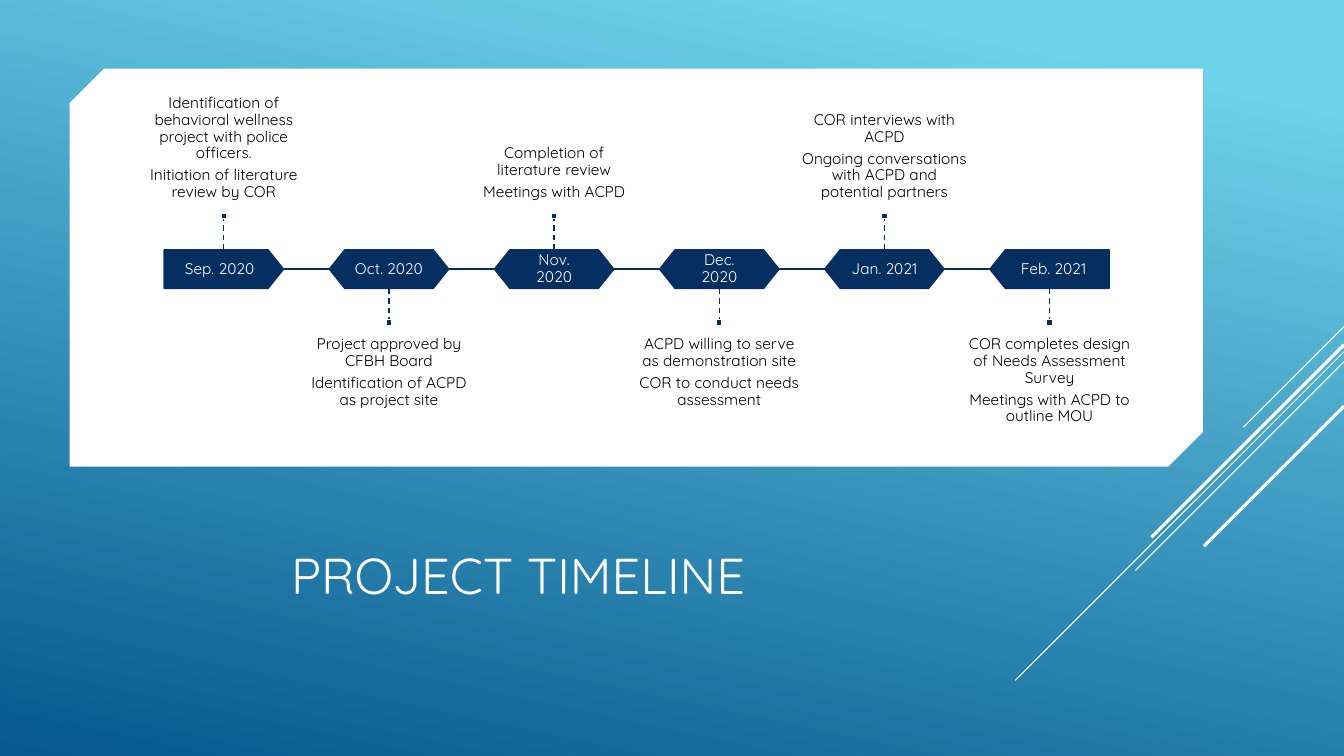
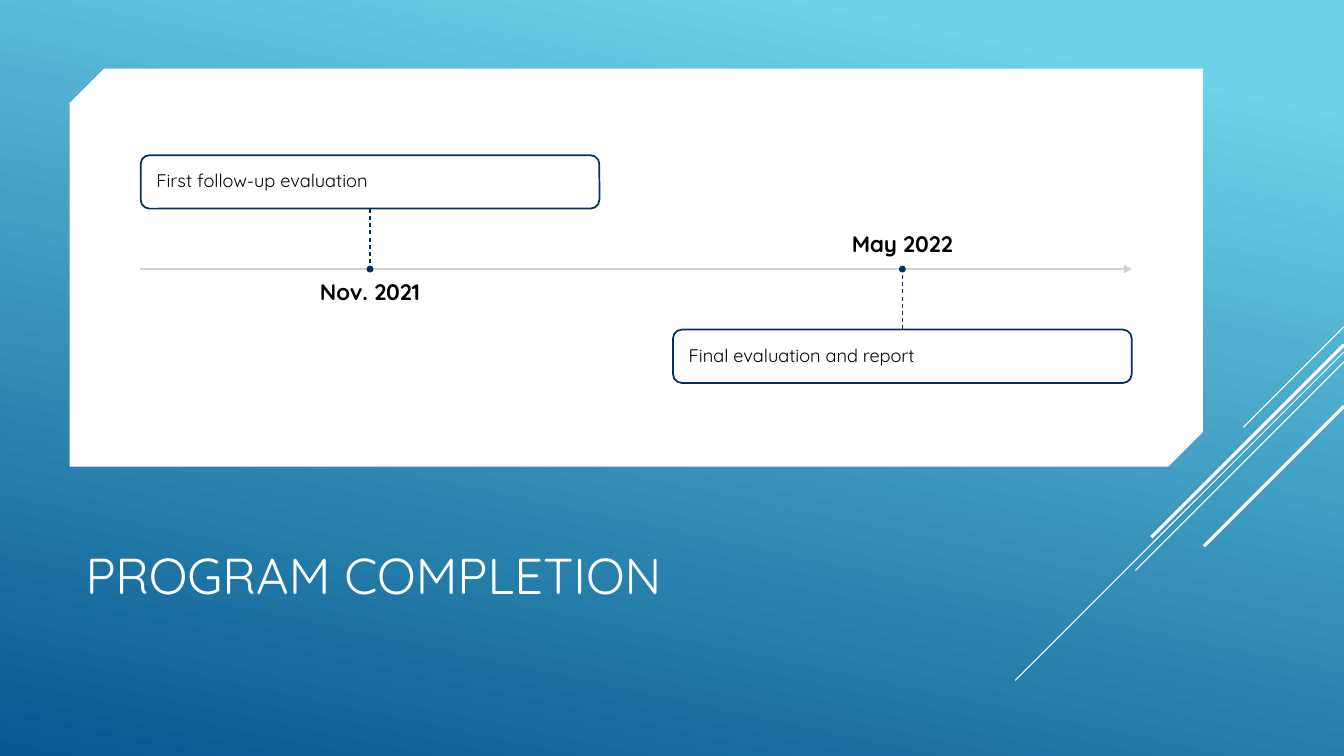
from lxml.etree import SubElement
from pptx import Presentation
from pptx.dml.color import RGBColor
from pptx.enum.dml import MSO_LINE
from pptx.enum.shapes import MSO_CONNECTOR, MSO_SHAPE
from pptx.enum.text import MSO_ANCHOR, PP_ALIGN
from pptx.oxml.ns import qn
from pptx.util import Inches, Pt

# Content
TIMELINE_TITLE = "PROJECT TIMELINE"
STEPS = [
    ("Sep. 2020", ["Identification of behavioral wellness project with police officers.",
                   "Initiation of literature review by COR"]),
    ("Oct. 2020", ["Project approved by CFBH Board",
                   "Identification of ACPD as project site"]),
    ("Nov. 2020", ["Completion of literature review", "Meetings with ACPD"]),
    ("Dec. 2020", ["ACPD willing to serve as demonstration site",
                   "COR to conduct needs assessment"]),
    ("Jan. 2021", ["COR interviews with ACPD",
                   "Ongoing conversations with ACPD and potential partners"]),
    ("Feb. 2021", ["COR completes design of Needs Assessment Survey",
                   "Meetings with ACPD to outline MOU"]),
]
COMPLETION_TITLE = "PROGRAM COMPLETION"
MILESTONES = [  # date, text, centre x, side of the axis (-1 above, 1 below)
    ("Nov. 2021", "First follow-up evaluation", 3.67, -1),
    ("May 2022", "Final evaluation and report", 8.95, 1),
]

# Shared style
FONT = "Quicksand"
WHITE = RGBColor(0xFF, 0xFF, 0xFF)
BLACK = RGBColor(0x00, 0x00, 0x00)
NAVY = RGBColor(0x05, 0x2F, 0x61)
GREY = RGBColor(0xCC, 0xCD, 0xD2)
SKY = RGBColor(0x6E, 0xD2, 0xEB)
OCEAN = RGBColor(0x06, 0x58, 0x8E)
SLIDE_W, SLIDE_H = 13.33, 7.5
AXIS_Y = 2.67
RAYS = [  # y at the right edge, length across and down, width in points
    (3.24, 1.00, 0.75), (3.49, 3.26, 0.75), (3.59, 2.07, 0.75),
    (3.42, 1.91, 2.25), (4.03, 1.39, 2.25),
]

# Timeline geometry
FIRST_X, LAST_X = 2.22, 10.41
PITCH = (LAST_X - FIRST_X) / (len(STEPS) - 1)
STEP_W, STEP_H = 1.18, 0.38
STALK_END, MARKER, NOTE_H = 0.5, 0.06, 1.0

# Milestone geometry
CARD_W, CARD_H, CARD_GAP = 4.55, 0.53, 0.6
DATE_W, DATE_H, DATE_GAP = 4.01, 0.35, 0.12
DOT = 0.05


def add_box(page, kind, left, top, width, height, fill, line=None, weight=1.25):
    """Add a flat preset shape; fill or line may be None."""
    box = page.shapes.add_shape(kind, Inches(left), Inches(top),
                                Inches(width), Inches(height))
    box.shadow.inherit = False
    box.fill.solid()
    box.fill.fore_color.rgb = fill
    if line is None:
        box.line.fill.background()
    else:
        box.line.color.rgb = line
        box.line.width = Pt(weight)
    return box


def add_line(page, start, end, color, weight, dashed=False):
    """Add a straight line without a shadow."""
    x1, y1, x2, y2 = (Inches(value) for value in (*start, *end))
    line = page.shapes.add_connector(MSO_CONNECTOR.STRAIGHT, x1, y1, x2, y2)
    line.line.color.rgb = color
    line.line.width = Pt(weight)
    if dashed:
        line.line.dash_style = MSO_LINE.DASH
    SubElement(line._element.spPr, qn("a:effectLst"))
    return line


def set_text(box, lines, size, color, align=PP_ALIGN.CENTER,
             anchor=MSO_ANCHOR.MIDDLE, inset=(0, 0), bold=False):
    """Write paragraphs into a box; inset is (horizontal, vertical)."""
    frame = box.text_frame
    frame.word_wrap = True
    frame.vertical_anchor = anchor
    frame.margin_left = frame.margin_right = Inches(inset[0])
    frame.margin_top = frame.margin_bottom = Inches(inset[1])
    frame.text = "\n".join(lines)
    for para in frame.paragraphs:
        para.alignment = align
        para.line_spacing = 0.9
        para.space_after = Pt(0.35 * size)
        para.font.name = FONT
        para.font.size = Pt(size)
        para.font.bold = bold
        para.font.color.rgb = color


def add_text(page, left, top, width, height, lines, size, color, **style):
    """Add a text box."""
    box = page.shapes.add_textbox(Inches(left), Inches(top),
                                  Inches(width), Inches(height))
    set_text(box, lines, size, color, **style)
    return box


def add_page(deck, title, indent=0):
    """Add a slide with background, title, white panel and rays."""
    page = deck.slides.add_slide(deck.slide_layouts[6])
    backdrop = add_box(page, MSO_SHAPE.RECTANGLE, 0, 0, SLIDE_W, SLIDE_H, SKY)
    backdrop.fill.gradient()
    backdrop.fill.gradient_angle = 258
    for stop, position, color in zip(backdrop.fill.gradient_stops,
                                     (0.1, 1), (SKY, OCEAN)):
        stop.position = position
        stop.color.rgb = color
    heading = add_text(page, 0.75 + indent, 4.91, 9.33 - indent, 1.65, [title], 36,
                       WHITE, align=PP_ALIGN.LEFT, inset=(0.1, 0.05))
    heading.text_frame.paragraphs[0].space_after = Pt(0)
    panel = add_box(page, MSO_SHAPE.SNIP_2_DIAG_RECTANGLE,
                    0.69, 0.68, 11.24, 3.95, WHITE)
    panel.adjustments[0] = 0.087
    panel.adjustments[1] = 0
    for y, reach, weight in RAYS:
        add_line(page, (SLIDE_W, y), (SLIDE_W - reach, y + reach), WHITE, weight)
    return page


def add_step(page, index, month, notes):
    """Add one month of the timeline, notes alternating above and below."""
    x = FIRST_X + index * PITCH
    side = 1 if index % 2 else -1
    last = len(STEPS) - 1
    at_end = index in (0, last)
    kind = MSO_SHAPE.PENTAGON if at_end else MSO_SHAPE.HEXAGON
    step = add_box(page, kind, x - STEP_W / 2, AXIS_Y - STEP_H / 2,
                   STEP_W, STEP_H, NAVY, NAVY)
    step.adjustments[0] = 0.4
    if index == last:
        step.rotation = 180
    label_w = 1.1 if at_end else 0.88
    shift = {0: -0.04, last: 0.04}.get(index, 0)
    add_text(page, x + shift - label_w / 2, AXIS_Y - STEP_H / 2, label_w, STEP_H,
             [month], 11, WHITE, inset=(0.09, 0.09))
    note_y = AXIS_Y + 0.56 if side > 0 else AXIS_Y - 0.57 - NOTE_H
    add_text(page, x - PITCH / 2, note_y, PITCH, NOTE_H, notes, 11, BLACK,
             anchor=MSO_ANCHOR.TOP if side > 0 else MSO_ANCHOR.BOTTOM,
             inset=(0, 0.11))
    if index < last:
        add_line(page, (x + STEP_W / 2, AXIS_Y),
                 (x + PITCH - STEP_W / 2, AXIS_Y), NAVY, 1.25)
    stalk_y = AXIS_Y + side * STALK_END
    add_line(page, (x, AXIS_Y + side * STEP_H / 2), (x, stalk_y), NAVY, 1, dashed=True)
    add_box(page, MSO_SHAPE.RECTANGLE, x - MARKER / 2,
            stalk_y + (side - 1) * MARKER / 2, MARKER, MARKER, NAVY, WHITE)


def add_milestone(page, date, text, x, side):
    """Add a card on one side of the axis and its date on the other."""
    date_y = AXIS_Y + DATE_GAP if side < 0 else AXIS_Y - DATE_GAP - DATE_H
    add_text(page, x - DATE_W / 2, date_y, DATE_W, DATE_H, [date], 16, BLACK,
             anchor=MSO_ANCHOR.TOP if side < 0 else MSO_ANCHOR.BOTTOM, bold=True)
    edge_y = AXIS_Y + side * CARD_GAP
    card = add_box(page, MSO_SHAPE.ROUNDED_RECTANGLE, x - CARD_W / 2,
                   edge_y + (side - 1) * CARD_H / 2, CARD_W, CARD_H, WHITE, NAVY)
    set_text(card, [text], 13, BLACK, align=PP_ALIGN.LEFT, inset=(0.13, 0.13))
    add_line(page, (x, edge_y), (x, AXIS_Y), NAVY, 0.75, dashed=True)
    add_box(page, MSO_SHAPE.OVAL, x - DOT / 2, AXIS_Y - DOT / 2, DOT, DOT, NAVY, NAVY)


deck = Presentation()
deck.slide_width, deck.slide_height = Inches(SLIDE_W), Inches(SLIDE_H)

timeline = add_page(deck, TIMELINE_TITLE, indent=2.04)
for index, (month, notes) in enumerate(STEPS):
    add_step(timeline, index, month, notes)

completion = add_page(deck, COMPLETION_TITLE)
axis = add_line(completion, (1.39, AXIS_Y), (11.23, AXIS_Y), GREY, 1.25)
outline = axis.line._get_or_add_ln()
SubElement(outline.find(".//" + qn("a:srgbClr")), qn("a:alpha"), val="90000")
SubElement(outline, qn("a:tailEnd"), type="triangle")
for milestone in MILESTONES:
    add_milestone(completion, *milestone)

deck.save("out.pptx")
